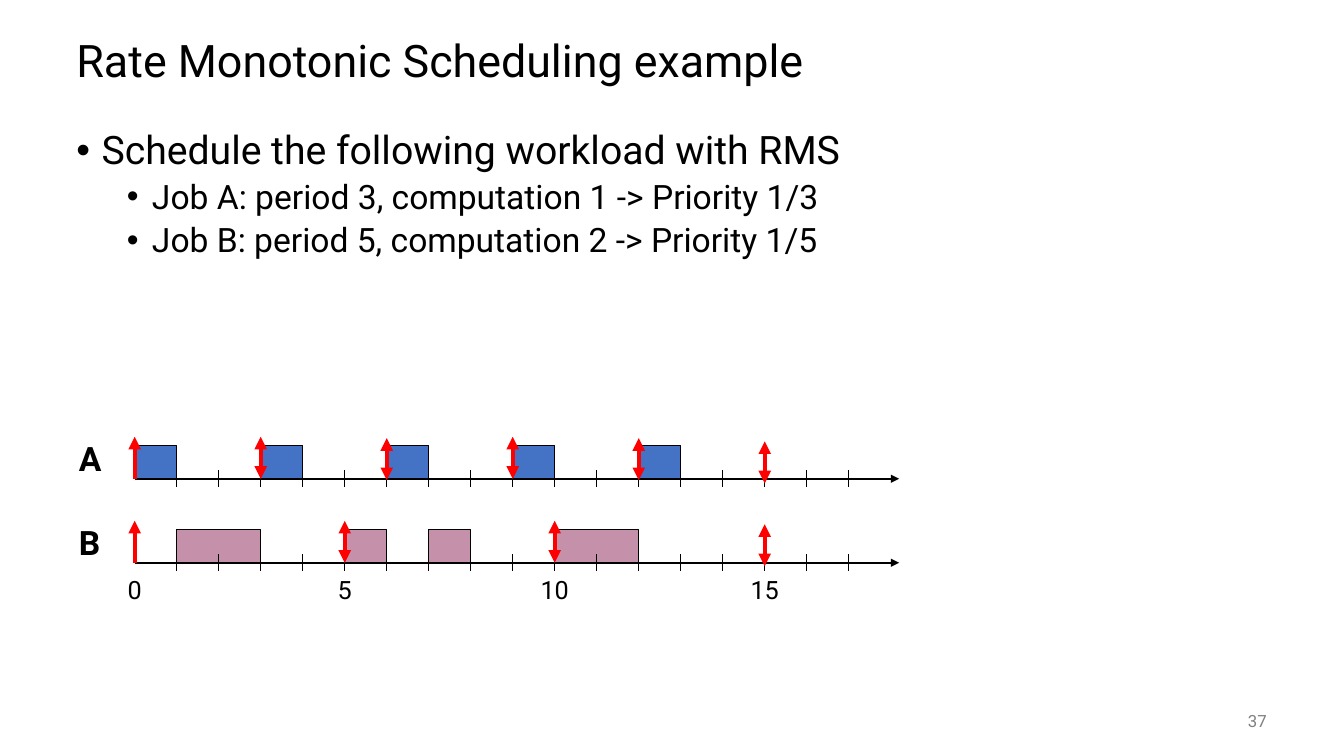
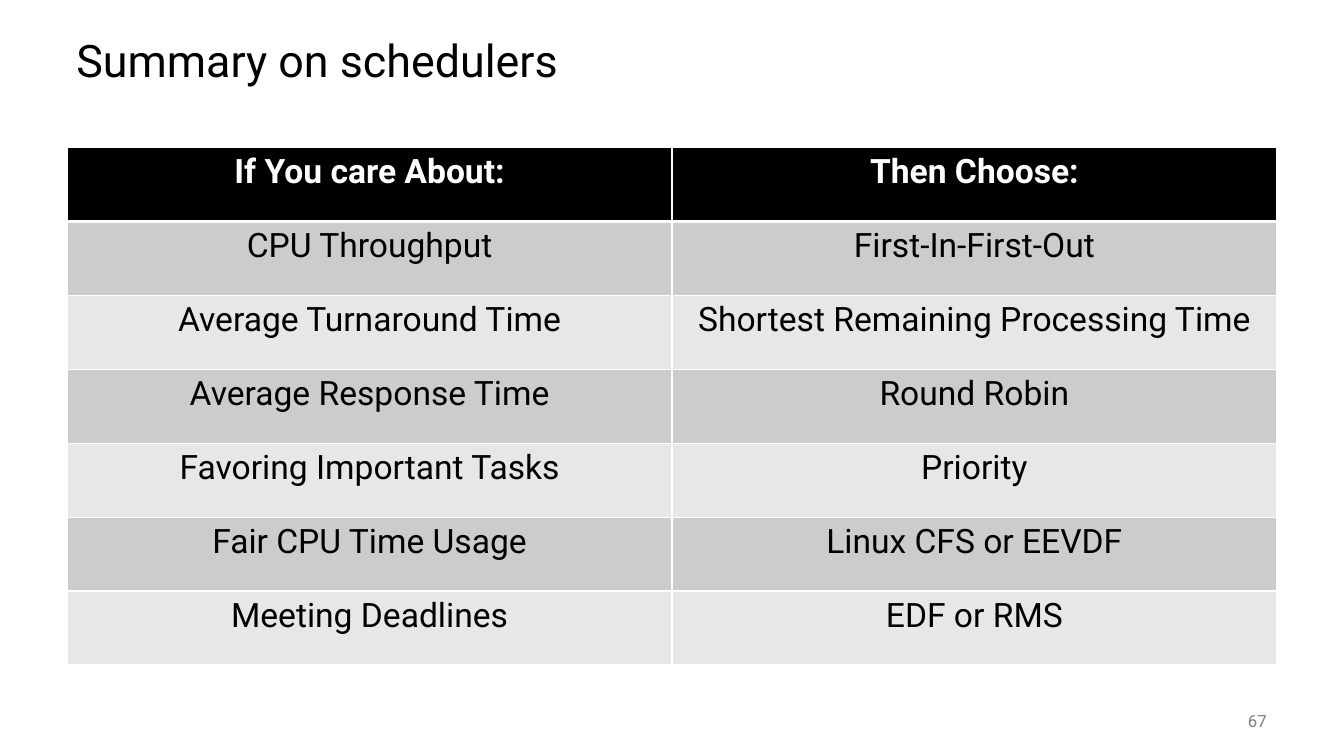
"""Build two slides on scheduling: a rate monotonic timeline and a summary table."""
from lxml.etree import SubElement
from pptx import Presentation
from pptx.dml.color import RGBColor
from pptx.enum.shapes import MSO_CONNECTOR, MSO_SHAPE
from pptx.enum.text import MSO_ANCHOR, PP_ALIGN
from pptx.oxml.ns import qn
from pptx.util import Pt

FONT = "Roboto"
COLORS = {
    "black": "000000",
    "white": "FFFFFF",
    "gray": "808080",
    "red": "FF0000",
    "blue": "4472C4",
    "pink": "C490AA",
    "dark_band": "CCCCCC",
    "light_band": "E7E7E7",
}


def write(frame, text, size=24, color="black", bold=False, align=None,
          anchor=None, spacing=None, before=None, bullet_at=None):
    """Add one formatted paragraph to a text frame."""
    frame.word_wrap = True
    if anchor is not None:
        frame.vertical_anchor = anchor
    para = frame.add_paragraph() if frame.text else frame.paragraphs[0]
    if bullet_at is not None:
        props = para._p.get_or_add_pPr()
        props.set("marL", str(Pt(bullet_at)))
        props.set("indent", str(Pt(-18)))
        SubElement(props, qn("a:buFont"), typeface="Arial")
        SubElement(props, qn("a:buChar"), char="•")
    if align is not None:
        para.alignment = align
    if spacing is not None:
        para.line_spacing = spacing
    if before is not None:
        para.space_before = Pt(before)
    span = para.add_run()
    span.text = text
    span.font.name = FONT
    span.font.size = Pt(size)
    span.font.bold = bold
    span.font.color.rgb = RGBColor.from_string(COLORS[color])


def draw_line(page, x1, y1, x2, y2, width=0.75, color="black", ends=()):
    """Draw a straight line with triangles at the named ends."""
    line = page.shapes.add_connector(
        MSO_CONNECTOR.STRAIGHT, Pt(x1), Pt(y1), Pt(x2), Pt(y2))
    line.line.width = Pt(width)
    line.line.color.rgb = RGBColor.from_string(COLORS[color])
    outline = line.line._get_or_add_ln()
    for end in ends:
        SubElement(outline, qn(f"a:{end}"), type="triangle")
    SubElement(line._element.spPr, qn("a:effectLst"))


deck = Presentation()
deck.slide_width, deck.slide_height = Pt(960), Pt(540)
LEFT, WIDTH = 47.5, 864

pages = []
for title, number in (("Rate Monotonic Scheduling example", "37"),
                      ("Summary on schedulers", "67")):
    page = deck.slides.add_slide(deck.slide_layouts[6])
    box = page.shapes.add_textbox(Pt(LEFT), Pt(18), Pt(WIDTH), Pt(54))
    write(box.text_frame, title, size=32, anchor=MSO_ANCHOR.MIDDLE, spacing=0.9)
    box = page.shapes.add_textbox(Pt(840), Pt(500.4), Pt(72), Pt(28.8))
    write(box.text_frame, number, size=12, color="gray",
          align=PP_ALIGN.RIGHT, anchor=MSO_ANCHOR.MIDDLE)
    pages.append(page)
timeline_page, summary_page = pages

body = timeline_page.shapes.add_textbox(Pt(LEFT), Pt(90), Pt(WIDTH), Pt(396))
write(body.text_frame, "Schedule the following workload with RMS",
      size=28, spacing=0.9, bullet_at=18)
for text in ("Job A: period 3, computation 1 -> Priority 1/3",
             "Job B: period 5, computation 2 -> Priority 1/5"):
    write(body.text_frame, text, spacing=0.9, before=5, bullet_at=54)

ORIGIN, UNIT, AXIS_END = 96.25, 30, 642.25
BAR_HEIGHT, TICK, ARROW = 24, 6, 30
jobs = [
    {"name": "A", "axis": 342, "color": "blue",
     "runs": [(0, 1), (3, 1), (6, 1), (9, 1), (12, 1)],
     "releases": {0: 0, 3: 0, 6: 1, 9: 0, 12: 1, 15: 3.25}},
    {"name": "B", "axis": 402, "color": "pink",
     "runs": [(1, 2), (5, 1), (7, 1), (10, 2)],
     "releases": {0: 0, 5: 0, 10: 0, 15: 2.5}},
]
for job in jobs:
    axis = job["axis"]
    for start, length in job["runs"]:
        bar = timeline_page.shapes.add_shape(
            MSO_SHAPE.RECTANGLE, Pt(ORIGIN + start * UNIT), Pt(axis - BAR_HEIGHT),
            Pt(length * UNIT), Pt(BAR_HEIGHT))
        bar.shadow.inherit = False
        bar.fill.solid()
        bar.fill.fore_color.rgb = RGBColor.from_string(COLORS[job["color"]])
        bar.line.width = Pt(0.75)
        bar.line.color.rgb = RGBColor.from_string(COLORS["black"])
    draw_line(timeline_page, ORIGIN, axis, AXIS_END, axis, width=1.5, ends=["tailEnd"])
    for time in range(1, 18):
        x = ORIGIN + time * UNIT
        draw_line(timeline_page, x, axis - TICK, x, axis + TICK)
    for time, drop in job["releases"].items():
        x = ORIGIN + time * UNIT
        draw_line(timeline_page, x, axis + drop, x, axis + drop - ARROW,
                  width=3, color="red",
                  ends=["headEnd", "tailEnd"] if time else ["tailEnd"])
    box = timeline_page.shapes.add_textbox(Pt(49.25), Pt(axis - 33), Pt(37.5), Pt(36))
    write(box.text_frame, job["name"], bold=True)

for time in range(0, 16, 5):
    box = timeline_page.shapes.add_textbox(
        Pt(ORIGIN + time * UNIT - 24), Pt(406.5), Pt(48), Pt(29))
    write(box.text_frame, str(time), size=18, align=PP_ALIGN.CENTER)

choices = [
    ("If You care About:", "Then Choose:"),
    ("CPU Throughput", "First-In-First-Out"),
    ("Average Turnaround Time", "Shortest Remaining Processing Time"),
    ("Average Response Time", "Round Robin"),
    ("Favoring Important Tasks", "Priority"),
    ("Fair CPU Time Usage", "Linux CFS or EEVDF"),
    ("Meeting Deadlines", "EDF or RMS"),
]
ROW_HEIGHT = 52.8
table = summary_page.shapes.add_table(
    len(choices), 2, Pt(LEFT + 0.5), Pt(105.5), Pt(WIDTH),
    Pt(ROW_HEIGHT * len(choices))).table
table.horz_banding = False
for row, texts in enumerate(choices):
    table.rows[row].height = Pt(ROW_HEIGHT)
    header = row == 0
    fill = "black" if header else "dark_band" if row % 2 else "light_band"
    for column, text in enumerate(texts):
        cell = table.cell(row, column)
        borders = {"L": 1, "R": 1, "T": 3 if row == 1 else 1, "B": 3 if header else 1}
        for side, width in borders.items():
            border = SubElement(cell._tc.get_or_add_tcPr(), qn(f"a:ln{side}"),
                                w=str(Pt(width)))
            paint = SubElement(border, qn("a:solidFill"))
            SubElement(paint, qn("a:srgbClr"), val=COLORS["white"])
        cell.fill.solid()
        cell.fill.fore_color.rgb = RGBColor.from_string(COLORS[fill])
        write(cell.text_frame, text, color="white" if header else "black",
              bold=header, align=PP_ALIGN.CENTER)

deck.save("out.pptx")
